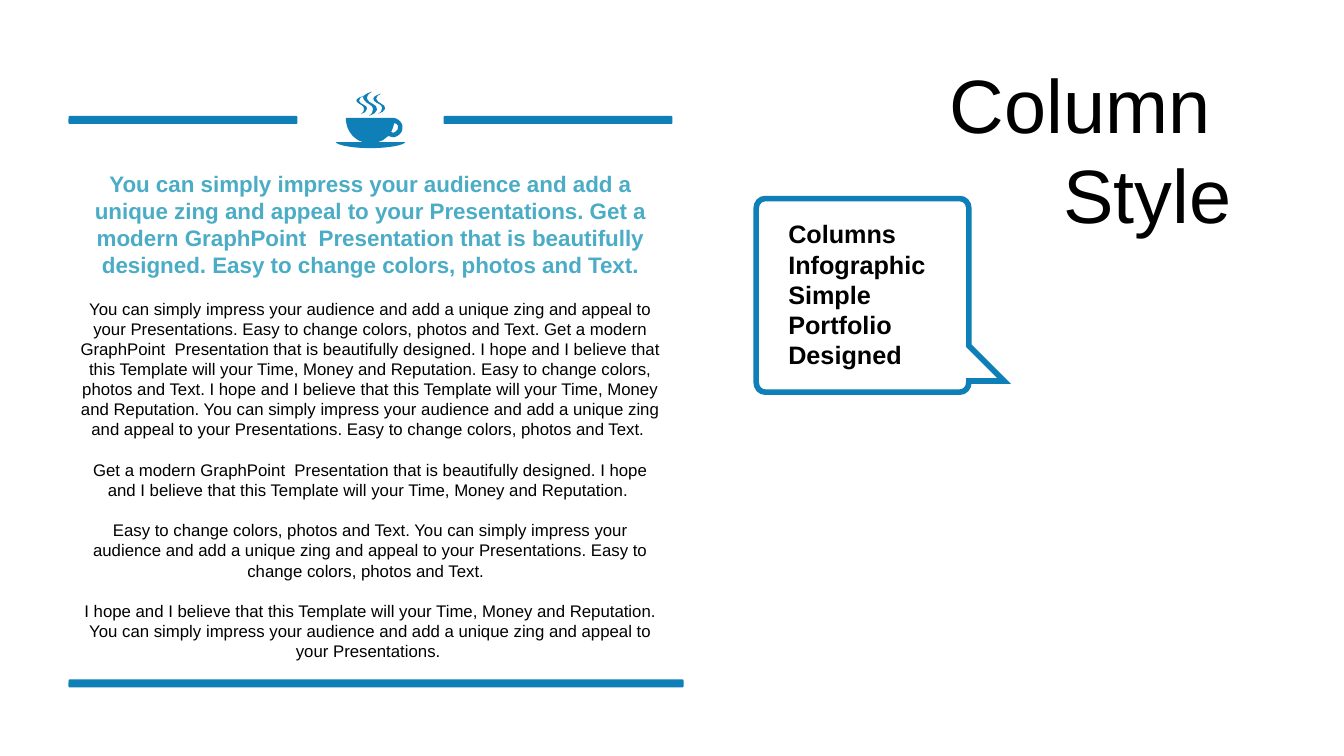
from lxml import etree
from pptx import Presentation
from pptx.dml.color import RGBColor
from pptx.enum.shapes import MSO_SHAPE
from pptx.enum.text import MSO_ANCHOR, MSO_AUTO_SIZE, PP_ALIGN
from pptx.oxml.ns import qn
from pptx.util import Cm, Pt

ROUNDED = MSO_SHAPE.ROUNDED_RECTANGLE
TOP, MIDDLE = MSO_ANCHOR.TOP, MSO_ANCHOR.MIDDLE
LEFT, CENTER, RIGHT = PP_ALIGN.LEFT, PP_ALIGN.CENTER, PP_ALIGN.RIGHT
GROW = MSO_AUTO_SIZE.SHAPE_TO_FIT_TEXT
COLORS = {"blue": "0E7FB7", "aqua": "4BACC6", "black": "000000"}
INCH = 2.54

IMPRESS = "You can simply impress your audience and add a unique zing and appeal to your Presentations."
MODERN = "Get a modern GraphPoint  Presentation that is beautifully designed."
EASY = "Easy to change colors, photos and Text."
HOPE = "I hope and I believe that this Template will your Time, Money and Reputation."

CALLOUT_OUTLINE = [
    "9.52 3.89 L 7.59 3.89 C 7.54 3.89 7.5 3.85 7.5 3.79 L 7.5 2.07 "
    "C 7.5 2.01 7.54 1.97 7.59 1.97 L 9.52 1.97 C 9.57 1.97 9.61 2.01 9.61 2.07 "
    "L 9.61 3.43 L 9.96 3.78 L 9.61 3.78 L 9.61 3.79 C 9.61 3.85 9.57 3.89 9.52 3.89",
]
CUP_OUTLINE = [
    "3.91 1.22 C 3.91 1.25 3.89 1.28 3.88 1.31 C 3.89 1.32 3.91 1.32 3.92 1.31 "
    "C 3.94 1.3 3.95 1.28 3.95 1.25 C 3.94 1.24 3.93 1.22 3.91 1.22",
    "3.91 1.17 L 3.91 1.17 C 3.95 1.18 3.98 1.21 3.99 1.24 C 4 1.29 3.98 1.33 3.94 1.35 "
    "C 3.91 1.37 3.88 1.36 3.85 1.35 C 3.83 1.36 3.82 1.38 3.8 1.39 "
    "C 3.78 1.4 3.77 1.4 3.75 1.41 L 4.02 1.41 C 4.01 1.44 3.86 1.47 3.67 1.47 "
    "C 3.49 1.47 3.34 1.44 3.33 1.41 L 3.6 1.41 C 3.58 1.4 3.56 1.4 3.55 1.39 "
    "C 3.47 1.34 3.43 1.26 3.43 1.17",
    "3.61 0.95 C 3.58 0.97 3.56 0.97 3.56 1 C 3.57 1.04 3.65 1.04 3.64 1.08 "
    "C 3.63 1.11 3.62 1.12 3.58 1.13 C 3.61 1.11 3.61 1.1 3.61 1.08 "
    "C 3.61 1.04 3.56 1.04 3.54 1.01 C 3.52 0.99 3.55 0.97 3.61 0.95",
    "3.78 0.93 C 3.75 0.95 3.73 0.95 3.73 0.98 C 3.74 1.03 3.83 1.03 3.82 1.08 "
    "C 3.81 1.11 3.79 1.11 3.75 1.13 C 3.78 1.11 3.79 1.1 3.79 1.07 "
    "C 3.79 1.03 3.73 1.03 3.71 1 C 3.69 0.97 3.71 0.95 3.78 0.93",
    "3.69 0.91 C 3.66 0.93 3.64 0.94 3.64 0.98 C 3.65 1.03 3.75 1.03 3.74 1.09 "
    "C 3.73 1.12 3.71 1.13 3.66 1.15 C 3.69 1.13 3.7 1.11 3.7 1.08 "
    "C 3.7 1.04 3.63 1.03 3.61 0.99 C 3.58 0.96 3.62 0.93 3.69 0.91",
]

presentation = Presentation()
presentation.slide_width = Cm(13.33 * INCH)
presentation.slide_height = Cm(7.5 * INCH)
slide = presentation.slides.add_slide(presentation.slide_layouts[6])


def add_outline(contours):
    builder = None
    commands = []
    for contour in contours:
        tokens = contour.split()
        commands += [token for token in tokens if token in "LC"]
        lengths = [Cm(float(token) * INCH) for token in tokens if token not in "LC"]
        points = list(zip(lengths[::2], lengths[1::2]))
        if builder is None:
            builder = slide.shapes.build_freeform(*points[0])
        else:
            builder.move_to(*points[0])
        builder.add_line_segments(points[1:], close=True)
    shape = builder.convert_to_shape()
    shape.shadow.inherit = False
    segments = iter(list(shape.element.iter(qn("a:lnTo"))))
    for command in commands:
        segment = next(segments)
        if command == "C":
            segment.tag = qn("a:cubicBezTo")
            for control in (next(segments), next(segments)):
                segment.append(control[0])
                control.getparent().remove(control)
    return shape


def add_text(box, texts, size, color, align, bold=False, anchor=TOP):
    frame = slide.shapes.add_textbox(*[Cm(length * INCH) for length in box]).text_frame
    frame.word_wrap = True
    frame.auto_size = GROW
    frame.vertical_anchor = anchor
    for index, text in enumerate(texts):
        paragraph = frame.add_paragraph() if index else frame.paragraphs[0]
        paragraph.alignment = align
        if index:
            paragraph.space_before = Pt(size * 1.2)
        run = paragraph.add_run()
        run.text = text
        run.font.name = "Arial"
        run.font.size = Pt(size)
        run.font.bold = bold
        run.font.color.rgb = RGBColor.from_string(COLORS[color])


blue = RGBColor.from_string(COLORS["blue"])

add_text((9.18, 0.51, 3.13, 1.92), ["Column  Style"], 54, "black", RIGHT, anchor=MIDDLE)

callout = add_outline(CALLOUT_OUTLINE)
callout.fill.background()
callout.line.color.rgb = blue
callout.line.width = Pt(4)
etree.SubElement(callout.line._get_or_add_ln(), qn("a:miter")).set("lim", "800000")
add_text((7.72, 2.12, 1.81, 1.62), ["Columns Infographic Simple  Portfolio Designed"],
         18, "black", LEFT, bold=True)

body = [
    f"{IMPRESS} {EASY} {MODERN} {HOPE} {EASY} {HOPE} {IMPRESS} {EASY} ",
    f"{MODERN} {HOPE} ",
    f"{EASY} {IMPRESS} {EASY}  ",
    f"{HOPE} {IMPRESS} ",
]
add_text((0.68, 2.91, 5.99, 3.74), body, 12, "black", CENTER)

cup = add_outline(CUP_OUTLINE)
cup.fill.solid()
cup.fill.fore_color.rgb = blue
cup.line.fill.background()

add_text((0.68, 1.64, 5.99, 1.18), [f"{IMPRESS} {MODERN} {EASY}"], 16, "aqua", CENTER, bold=True)

for left, top, width in ((0.68, 1.15, 2.27), (4.4, 1.15, 2.27), (0.68, 6.74, 6.1)):
    bar = slide.shapes.add_shape(ROUNDED, *[Cm(length * INCH) for length in (left, top, width, 0.08)])
    bar.shadow.inherit = False
    bar.fill.solid()
    bar.fill.fore_color.rgb = blue
    bar.line.fill.background()

presentation.save("out.pptx")
